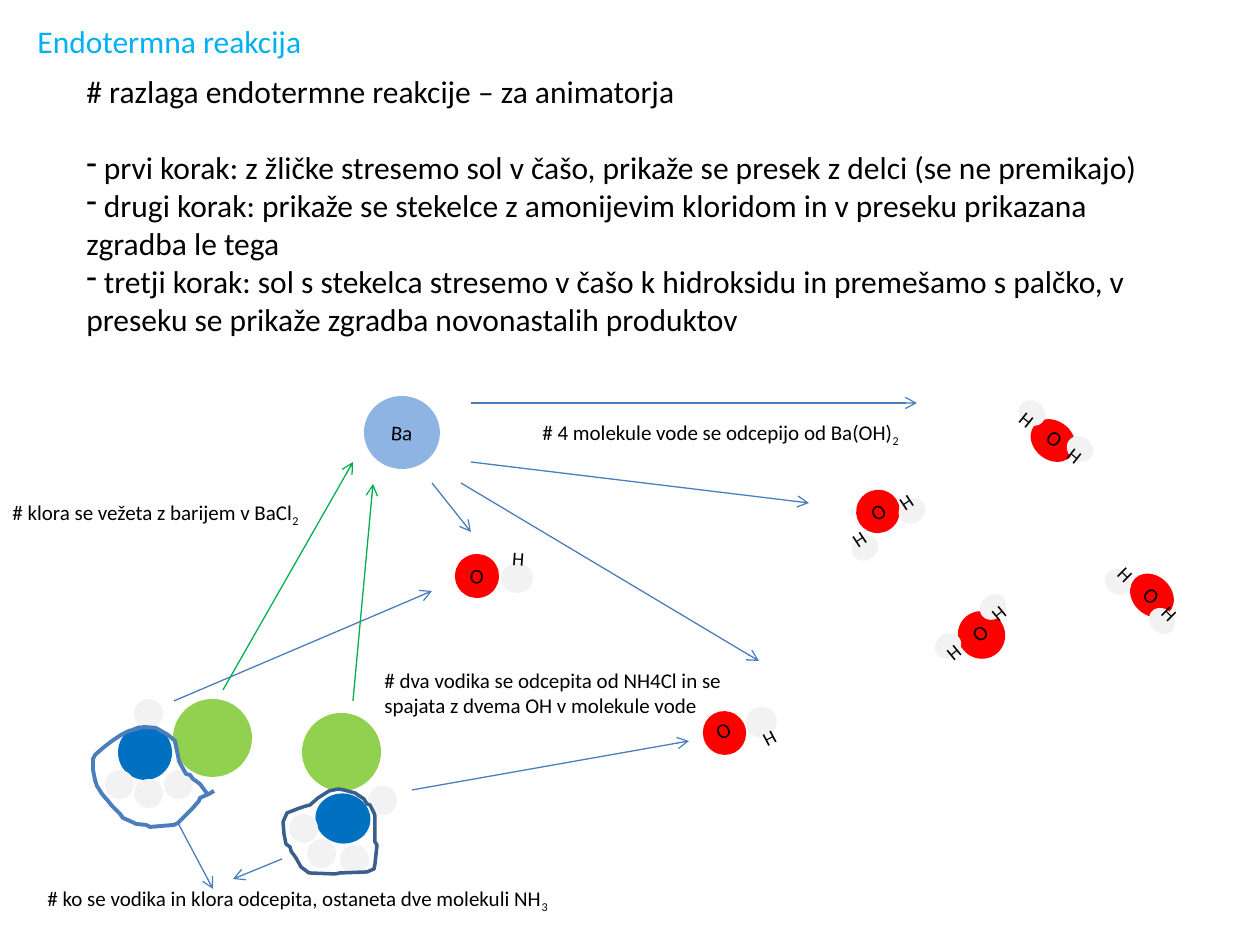
from lxml import etree
from pptx import Presentation
from pptx.dml.color import RGBColor
from pptx.enum.shapes import MSO_CONNECTOR, MSO_SHAPE
from pptx.enum.text import MSO_ANCHOR, MSO_AUTO_SIZE, PP_ALIGN
from pptx.oxml.ns import qn
from pptx.util import Emu, Pt

OVAL = MSO_SHAPE.OVAL
STRAIGHT = MSO_CONNECTOR.STRAIGHT
MIDDLE = MSO_ANCHOR.MIDDLE
CENTER = PP_ALIGN.CENTER
GROW = MSO_AUTO_SIZE.SHAPE_TO_FIT_TEXT
SCALE = 914400 // 126
FONT = "Calibri"
COLORS = {
    "text": "000000", "title": "00B0F0", "barium": "8EB4E3",
    "oxygen": "FF0000", "hydrogen": "F2F2F2", "nitrogen": "0070C0",
    "chlorine": "92D050", "blue": "4B7EBC", "green": "00B050", "navy": "3A5F8C",
}

WATERS = [  # origin, turn, oxygen box, hydrogen size, hydrogen offsets
    ((703, 707), 152.1, (0, 4, 43, 44), (32, 30), [(42, 0)]),
    ((455, 554), 3.9, (0, 0, 44, 44), (32, 30), [(46, 9)]),
    ((1018, 401), 218.6, (11, 20, 48, 39), (28, 24), [(48, 36), (0, 0)]),
    ((934, 595), 140.6, (24, 16, 47, 48), (28, 24), [(45, 0), (0, 39)]),
    ((1104, 570), 44.7, (24, 6, 48, 39), (28, 24), [(0, 0), (44, 39)]),
    ((851, 490), 326.5, (5, 0, 44, 43), (28, 24), [(0, 46), (47, 9)]),
]
SALTS = [  # origin, turn of nitrogen, nitrogen box, chlorine offset, hydrogen offsets
    ((289, 713), 278.4, (29, 78, 50, 55), (13, 0),
     [(79, 73), (18, 126), (0, 101), (51, 132)]),
    ((105, 699), 355.7, (13, 26, 54, 55), (68, 0),
     [(59, 71), (0, 71), (29, 0), (29, 80)]),
]
ARROWS = [
    ((412, 790), (689, 741), "blue"), ((174, 701), (432, 591), "blue"),
    ((223, 690), (353, 462), "green"), ((353, 701), (373, 484), "green"),
    ((471, 462), (809, 503), "blue"), ((471, 403), (917, 403), "blue"),
    ((432, 483), (471, 532), "blue"), ((461, 483), (759, 661), "blue"),
    ((282, 859), (233, 879), "blue"), ((178, 823), (213, 889), "blue"),
]
NOTES = [  # box, text, subscript
    ((530, 413, 397, 38), "# 4 molekule vode se odcepijo od Ba(OH)", "2"),
    ((372, 661, 387, 63),
     "# dva vodika se odcepita od NH4Cl in se spajata z dvema OH v molekule vode", ""),
    ((0, 493, 357, 38), "# klora se vežeta z barijem v BaCl", "2"),
    ((35, 879, 674, 38), "# ko se vodika in klora odcepita, ostaneta dve molekuli NH", "3"),
]
STEPS = [
    " prvi korak: z žličke stresemo sol v čašo, prikaže se presek z delci (se ne premikajo)",
    " drugi korak: prikaže se stekelce z amonijevim kloridom in v preseku prikazana "
    "zgradba le tega",
    " tretji korak: sol s stekelca stresemo v čašo k hidroksidu in premešamo s palčko, "
    "v preseku se prikaže zgradba novonastalih produktov",
]
LEFT_LOOP = [
    (208, 795), (200, 784), (193, 779), (190, 775), (186, 774), (181, 765), (179, 761),
    (176, 746), (175, 741), (168, 735), (156, 728), (144, 727), (129, 731), (121, 735),
    (112, 741), (103, 748), (95, 755), (93, 759), (93, 770), (95, 780), (97, 786),
    (102, 794), (108, 801), (112, 806), (120, 814), (123, 818), (132, 822), (136, 824),
    (146, 825), (150, 827), (174, 825), (178, 823), (185, 816), (192, 809), (199, 801),
    (200, 798), (209, 794), (214, 791),
]
RIGHT_LOOP = [
    (375, 842), (377, 845), (375, 864), (374, 869), (367, 872), (340, 873), (335, 874),
    (309, 873), (301, 867), (296, 858), (291, 851), (290, 847), (286, 844), (285, 839),
    (284, 834), (283, 822), (287, 813), (297, 809), (306, 806), (310, 805), (318, 798),
    (329, 791), (338, 789), (344, 790), (355, 793), (364, 799), (367, 804), (370, 805),
    (374, 813), (375, 816),
]


def px(*values):
    """Turn pixels into EMU."""
    return [Emu(value * SCALE) for value in values]


def color(name):
    """Look up a colour by name."""
    return RGBColor.from_string(COLORS[name])


def add_run(paragraph, text, size, name="text"):
    """Add one styled run and return it."""
    run = paragraph.add_run()
    run.text = text
    run.font.size = Pt(size)
    run.font.name = FONT
    run.font.color.rgb = color(name)
    return run


def add_text_box(slide, box):
    """Add a wrapping text box and return its text frame."""
    frame = slide.shapes.add_textbox(*px(*box)).text_frame
    frame.word_wrap = True
    frame.auto_size = GROW
    return frame


def add_atom(slide, box, element, turn=0, label="", size=12, lift=0):
    """Draw one atom; its label may sit above the middle by lift pixels."""
    atom = slide.shapes.add_shape(OVAL, *px(*box))
    atom.shadow.inherit = False
    atom.rotation = turn
    atom.fill.solid()
    atom.fill.fore_color.rgb = color(element)
    atom.line.fill.background()
    if label:
        frame = atom.text_frame
        frame.word_wrap = False
        frame.vertical_anchor = MIDDLE
        frame.margin_left = frame.margin_right = frame.margin_bottom = 0
        frame.margin_top = Emu(-2 * lift * SCALE)
        paragraph = frame.paragraphs[0]
        paragraph.alignment = CENTER
        add_run(paragraph, label, size)


def add_water(slide, origin, turn, oxygen, hydrogen_size, hydrogens):
    """Draw a hydroxide or water molecule from its top left corner."""
    left, top = origin
    x, y, width, height = oxygen
    add_atom(slide, (left + x, top + y, width, height), "oxygen", turn, "O")
    lift = 20 if hydrogen_size[0] > 30 else 11
    for x, y in hydrogens:
        add_atom(slide, (left + x, top + y, *hydrogen_size), "hydrogen", turn, "H", 11, lift)


def add_salt(slide, origin, turn, nitrogen, chlorine, hydrogens):
    """Draw an ammonium chloride unit from its top left corner."""
    left, top = origin
    x, y, width, height = nitrogen
    add_atom(slide, (left + x, top + y, width, height), "nitrogen", turn)
    add_atom(slide, (left + chlorine[0], top + chlorine[1], 79, 78), "chlorine")
    for x, y in hydrogens:
        add_atom(slide, (left + x, top + y, 29, 29), "hydrogen")


def add_arrow(slide, start, end, name):
    """Draw a thin line with an open arrowhead at its end."""
    arrow = slide.shapes.add_connector(STRAIGHT, *px(*start, *end))
    arrow.line.color.rgb = color(name)
    arrow.line.width = Pt(0.75)
    etree.SubElement(arrow.line._get_or_add_ln(), qn("a:tailEnd"), type="arrow")
    etree.SubElement(arrow._element.spPr, qn("a:effectLst"))


def add_loop(slide, points, name, width, close):
    """Draw a hand-drawn outline through the points."""
    builder = slide.shapes.build_freeform(*points[0], scale=SCALE)
    builder.add_line_segments(points[1:], close=close)
    loop = builder.convert_to_shape()
    loop.shadow.inherit = False
    loop.fill.background()
    loop.line.color.rgb = color(name)
    loop.line.width = Pt(width)


def add_note(slide, box, text, subscript):
    """Write a small note, ending in a subscript if there is one."""
    paragraph = add_text_box(slide, box).paragraphs[0]
    add_run(paragraph, text, 12)
    if subscript:
        run = add_run(paragraph, subscript, 12)
        run._r.get_or_add_rPr().set("baseline", "-25000")


def add_explanation(slide, box):
    """Write the heading and the steps, each with a dash bullet."""
    frame = add_text_box(slide, box)
    heading = frame.paragraphs[0]
    heading.space_after = Pt(22)
    add_run(heading, "# razlaga endotermne reakcije – za animatorja", 18)
    for step in STEPS:
        paragraph = frame.add_paragraph()
        etree.SubElement(paragraph._p.get_or_add_pPr(), qn("a:buChar"), char="-")
        add_run(paragraph, step, 18)


def build():
    """Build the slide and save it."""
    presentation = Presentation()
    presentation.slide_width, presentation.slide_height = px(1260, 945)
    slide = presentation.slides.add_slide(presentation.slide_layouts[6])
    add_explanation(slide, (74, 66, 1091, 280))
    add_atom(slide, (364, 396, 76, 73), "barium", 3.9, "Ba")
    for water in WATERS:
        add_water(slide, *water)
    for salt in SALTS:
        add_salt(slide, *salt)
    for note in NOTES:
        add_note(slide, *note)
    for arrow in ARROWS:
        add_arrow(slide, *arrow)
    add_loop(slide, LEFT_LOOP, "blue", 2.25, False)
    add_loop(slide, RIGHT_LOOP, "navy", 2, True)
    title = add_text_box(slide, (25, 16, 525, 50))
    add_run(title.paragraphs[0], "Endotermna reakcija", 18, "title")
    presentation.save("out.pptx")


build()
